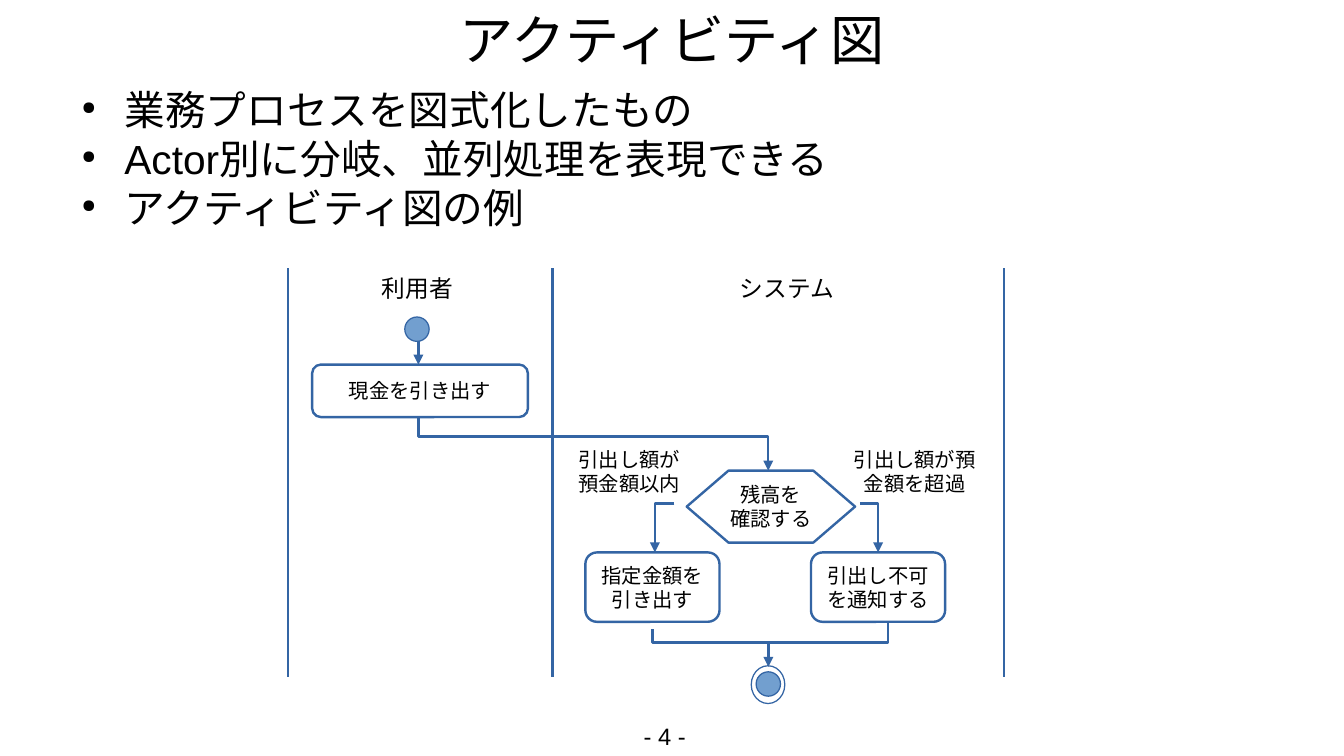
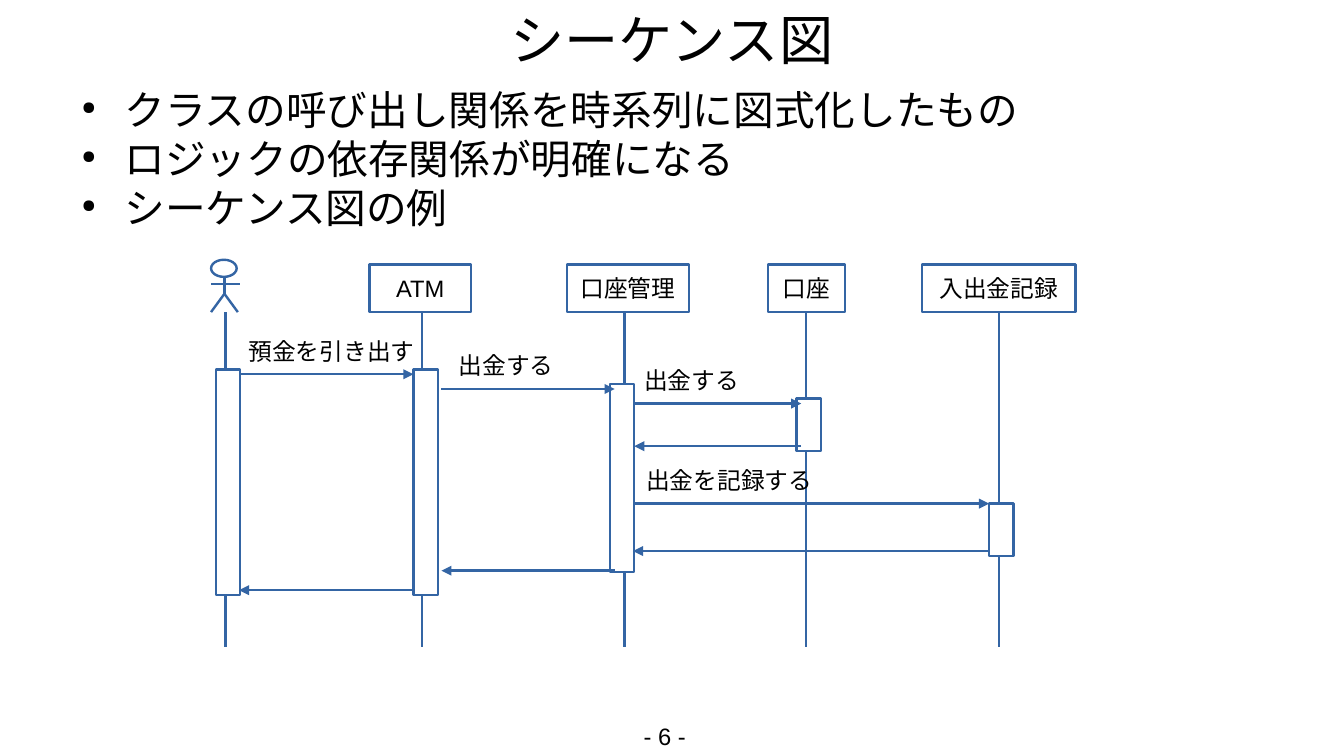
from dataclasses import dataclass

from lxml.etree import SubElement
from pptx import Presentation
from pptx.dml.color import RGBColor
from pptx.enum.lang import MSO_LANGUAGE_ID
from pptx.enum.shapes import MSO_CONNECTOR, MSO_SHAPE
from pptx.enum.text import MSO_ANCHOR, PP_ALIGN
from pptx.oxml.ns import qn
from pptx.util import Pt

COLORS = {"text": "000000", "line": "3465A4", "dot": "729FCF", "paper": "FFFFFF"}
FONT = "Arial"
STROKE = 1.42
Point = tuple[float, float]


@dataclass(frozen=True)
class Area:
    left: float
    top: float
    width: float
    height: float

    def lengths(self) -> list:
        return [Pt(value) for value in (self.left, self.top, self.width, self.height)]


@dataclass(frozen=True)
class Label:
    text: str
    area: Area
    size: float = 14
    inset: float = 7.2


@dataclass(frozen=True)
class Node:
    kind: MSO_SHAPE
    area: Area
    text: str = ""
    size: float = 12
    fill: str = ""
    stroke: float = STROKE


@dataclass(frozen=True)
class Route:
    points: list[Point]
    arrow: bool = True


@dataclass(frozen=True)
class Participant:
    name: str
    axis: float
    left: float
    width: float


def rgb(name: str) -> RGBColor:
    return RGBColor.from_string(COLORS[name])


def write(frame, text: str, size: float, align=PP_ALIGN.CENTER) -> None:
    frame.text = text
    frame.word_wrap = True
    for paragraph in frame.paragraphs:
        paragraph.alignment = align
        for span in paragraph.runs:
            span.font.size = Pt(size)
            span.font.name = FONT
            span.font.language_id = MSO_LANGUAGE_ID.JAPANESE
            span.font.color.rgb = rgb("text")
            SubElement(span.font._element, qn("a:ea")).set("typeface", FONT)


def set_insets(frame, side: float, edge: float) -> None:
    frame.margin_left = frame.margin_right = Pt(side)
    frame.margin_top = frame.margin_bottom = Pt(edge)


def add_label(shapes, label: Label) -> None:
    frame = shapes.add_textbox(*label.area.lengths()).text_frame
    set_insets(frame, label.inset, 3.6)
    write(frame, label.text, label.size)


def style_line(line, width: float = STROKE, arrow: bool = False) -> None:
    line.color.rgb = rgb("line")
    line.width = Pt(width)
    if arrow:
        SubElement(line._get_or_add_ln(), qn("a:tailEnd")).set("type", "triangle")


def add_node(shapes, node: Node) -> None:
    shape = shapes.add_shape(node.kind, *node.area.lengths())
    shape.shadow.inherit = False
    if node.kind == MSO_SHAPE.HEXAGON:
        shape.adjustments[0] = 0.58
    if node.fill:
        shape.fill.solid()
        shape.fill.fore_color.rgb = rgb(node.fill)
    else:
        shape.fill.background()
    style_line(shape.line, node.stroke)
    if node.text:
        set_insets(shape.text_frame, 2, 0)
        shape.text_frame.vertical_anchor = MSO_ANCHOR.MIDDLE
        write(shape.text_frame, node.text, node.size)


def add_route(shapes, route: Route) -> None:
    points = [(Pt(x), Pt(y)) for x, y in route.points]
    if len(points) == 2:
        shape = shapes.add_connector(MSO_CONNECTOR.STRAIGHT, *points[0], *points[1])
        SubElement(shape._element.spPr, qn("a:effectLst"))
    else:
        builder = shapes.build_freeform(*points[0], scale=1.0)
        builder.add_line_segments(points[1:], close=False)
        shape = builder.convert_to_shape()
        shape.shadow.inherit = False
        shape.fill.background()
    style_line(shape.line, arrow=route.arrow)


def add_bullet(paragraph) -> None:
    properties = paragraph._p.get_or_add_pPr()
    properties.set("marL", str(Pt(33.84)))
    properties.set("indent", str(Pt(-25.2)))
    color = SubElement(properties, qn("a:buClr"))
    SubElement(color, qn("a:srgbClr")).set("val", COLORS["text"])
    SubElement(properties, qn("a:buSzPct")).set("val", "45000")
    SubElement(properties, qn("a:buChar")).set("char", "●")


def add_page(deck, title: str, points: list[str], number: int):
    page = deck.slides.add_slide(deck.slide_layouts[6])
    heading = page.shapes.add_textbox(*Area(39.6, 2.2, 714.2, 41.8).lengths()).text_frame
    set_insets(heading, 0, 0)
    heading.vertical_anchor = MSO_ANCHOR.MIDDLE
    write(heading, title, 32)
    body = page.shapes.add_textbox(*Area(39.6, 50.4, 714.2, 105).lengths()).text_frame
    set_insets(body, 0, 0)
    write(body, "\n".join(points), 24, PP_ALIGN.LEFT)
    for paragraph in body.paragraphs:
        add_bullet(paragraph)
    add_label(page.shapes, Label(f"- {number} -", Area(355, 422.6, 74.9, 25.2)))
    return page


def draw_activity(page) -> None:
    shapes = page.shapes
    for x in (170, 326.2, 592.6):
        add_route(shapes, Route([(x, 158.4), (x, 399.6)], arrow=False))
    labels = [
        Label("利用者", Area(175.7, 158.4, 141.8, 28)),
        Label("システム", Area(393.8, 158.4, 141.8, 28)),
        Label("引出し額が預金額以内", Area(331.9, 260.6, 79.2, 38.9), 12),
        Label("引出し額が預金額を超過", Area(496.1, 260.6, 87.8, 38.9), 12),
    ]
    for label in labels:
        add_label(shapes, label)
    rounded = MSO_SHAPE.ROUNDED_RECTANGLE
    nodes = [
        Node(MSO_SHAPE.OVAL, Area(239, 187.2, 14.4, 14.4), fill="dot", stroke=0),
        Node(rounded, Area(184.3, 215.3, 127.4, 31), "現金を引き出す"),
        Node(MSO_SHAPE.HEXAGON, Area(405.4, 277.9, 99.4, 42.5), "残高を\n確認する"),
        Node(rounded, Area(345.6, 326.2, 79.2, 41), "指定金額を引き出す"),
        Node(rounded, Area(478.8, 326.2, 79.2, 41), "引出し不可を通知する"),
    ]
    for node in nodes:
        add_node(shapes, node)
    final = shapes.add_group_shape().shapes
    add_node(final, Node(MSO_SHAPE.OVAL, Area(446.4, 396.7, 14.4, 14.4), fill="dot", stroke=0))
    add_node(final, Node(MSO_SHAPE.OVAL, Area(443.5, 393.1, 19.8, 22.3), stroke=0))
    user, system = 247, 453.6
    routes = [
        Route([(user, 201.6), (user, 215.3)]),
        Route([(user, 247), (user, 257.8), (system, 257.8), (system, 277.9)]),
        Route([(398.2, 297.4), (386.6, 297.4), (386.6, 326.2)]),
        Route([(507.6, 297.4), (518.4, 297.4), (518.4, 326.2)]),
        Route([(385.2, 371.5), (385.2, 379.4), (524.2, 379.4), (524.2, 367.2)], arrow=False),
        Route([(system, 380.2), (system, 393.8)]),
    ]
    for route in routes:
        add_route(shapes, route)


def draw_actor(page) -> None:
    actor = page.shapes.add_group_shape().shapes
    add_node(actor, Node(MSO_SHAPE.OVAL, Area(124.6, 153.4, 15.1, 10.1)))
    neck, hip = (132.5, 163.4), (132.5, 173.5)
    limbs = [((124.6, 167.8), (141.8, 167.8)), (neck, hip),
             (hip, (124.6, 184.3)), (hip, (140.4, 184.3))]
    for start, end in limbs:
        add_route(actor, Route([start, end], arrow=False))


def draw_sequence(page) -> None:
    shapes = page.shapes
    draw_actor(page)
    top, head = 184.3, 28.1
    participants = [
        Participant("ATM", 249.1, 218.2, 59.8),
        Participant("口座管理", 368.6, 334.8, 72),
        Participant("口座", 475.9, 453.6, 45.4),
        Participant("入出金記録", 589.7, 544.3, 90.7),
    ]
    for member in participants:
        area = Area(member.left, top - head, member.width, head)
        add_node(shapes, Node(MSO_SHAPE.RECTANGLE, area, member.name, 14))
    for axis in [133.2] + [member.axis for member in participants]:
        add_route(shapes, Route([(axis, top), (axis, 382.3)], arrow=False))
    activations = [(127.4, 218.2, 133.2), (244.1, 218.2, 133.2), (360, 226.8, 110.9),
                   (470.2, 235.4, 31), (583.9, 297.4, 31)]
    for left, start, height in activations:
        add_node(shapes, Node(MSO_SHAPE.RECTANGLE, Area(left, start, 14.4, height), fill="paper"))
    messages = [(141.8, 244.1, 221), (260.6, 362.9, 229.7), (374.4, 473, 238.3),
                (473, 374.4, 263.5), (374.4, 583.9, 297.4), (583.2, 373.7, 325.4),
                (362.9, 260.6, 337), (243.4, 141.1, 348.5)]
    for sender, receiver, y in messages:
        add_route(shapes, Route([(sender, y), (receiver, y)]))
    captions = [("預金を引き出す", 139.7, 195.1, 112.3), ("出金する", 259.9, 203.8, 77.8),
                ("出金する", 373, 212.4, 70.6), ("出金を記録する", 374.4, 271.4, 112.3)]
    for text, left, y, width in captions:
        add_label(shapes, Label(text, Area(left, y, width, 25.2), inset=2))


def main() -> None:
    deck = Presentation()
    deck.slide_width, deck.slide_height = Pt(793.44), Pt(446.4)
    draw_activity(add_page(deck, "アクティビティ図", [
        "業務プロセスを図式化したもの",
        "Actor別に分岐、並列処理を表現できる",
        "アクティビティ図の例",
    ], 4))
    draw_sequence(add_page(deck, "シーケンス図", [
        "クラスの呼び出し関係を時系列に図式化したもの",
        "ロジックの依存関係が明確になる",
        "シーケンス図の例",
    ], 6))
    deck.save("out.pptx")


main()
